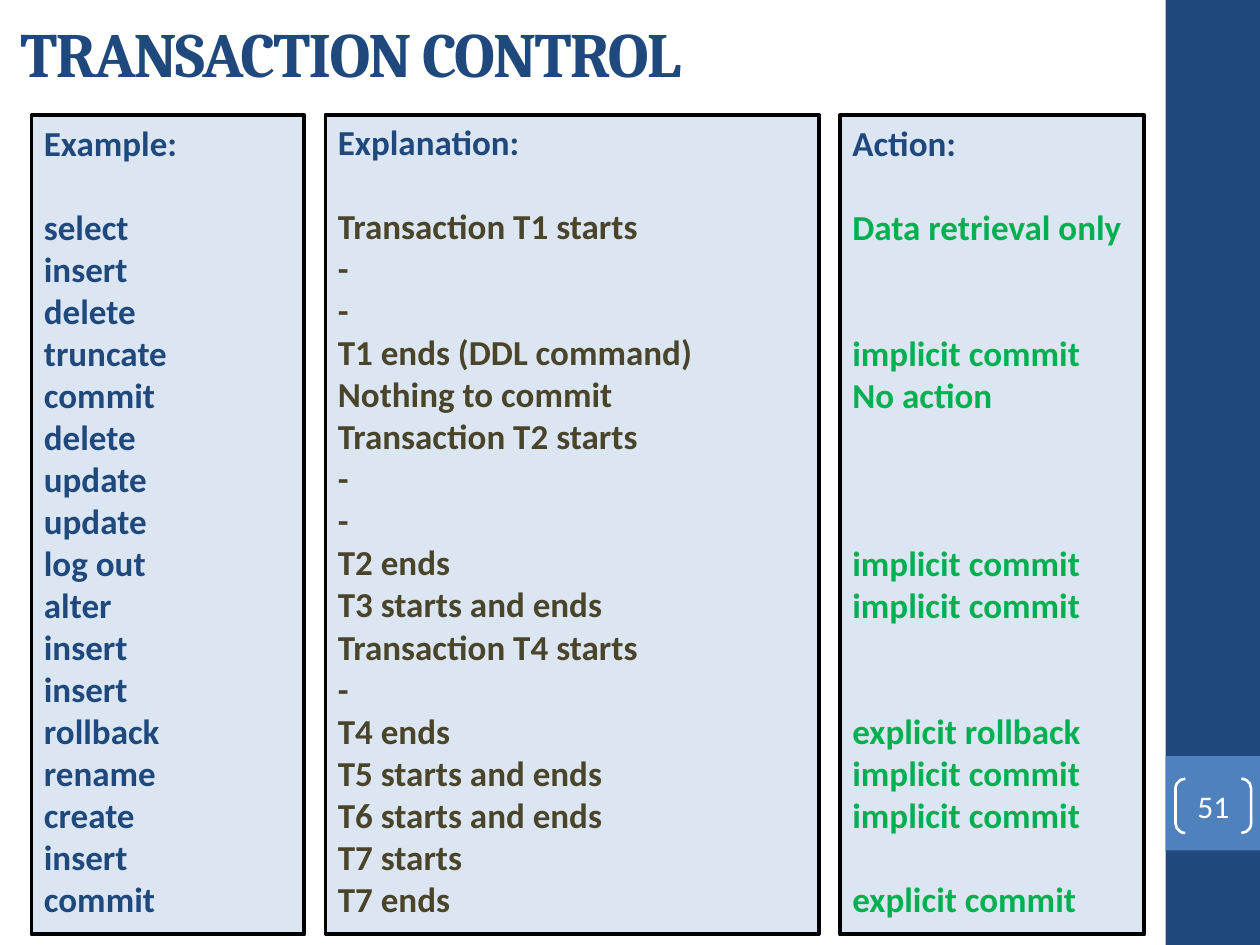
"""Build the transaction control slide."""
from pptx import Presentation
from pptx.dml.color import RGBColor
from pptx.enum.shapes import MSO_SHAPE as SHAPE
from pptx.enum.text import MSO_ANCHOR as ANCHOR, PP_ALIGN as ALIGN
from pptx.util import Pt

NAVY, BLUE, PALE, WHITE, BLACK = "1F497D", "4F81BD", "DCE6F2", "FFFFFF", "000000"
BROWN, GREEN = "4A452A", "00B050"
ROW = 24


def add_box(kind, box, fill=None, line=None, width=0):
    sp = s.shapes.add_shape(kind, *[Pt(v) for v in box])
    sp.shadow.inherit = False
    if fill:
        sp.fill.solid()
        sp.fill.fore_color.rgb = RGBColor.from_string(fill)
    else:
        sp.fill.background()
    if line:
        sp.line.color.rgb = RGBColor.from_string(line)
        sp.line.width = Pt(width)
    else:
        sp.line.fill.background()
    return sp


def add_run(p, text, size, color, bold=False, name="Calibri"):
    r = p.add_run()
    r.text = text
    r.font.name, r.font.size, r.font.bold = name, Pt(size), bold
    r.font.color.rgb = RGBColor.from_string(color)
    return r


prs = Presentation()
prs.slide_width, prs.slide_height = Pt(720), Pt(540)
s = prs.slides.add_slide(prs.slide_layouts[5])

add_box(SHAPE.RECTANGLE, (666, 0, 54, 540), NAVY)
add_box(SHAPE.RECTANGLE, (666, 432, 54, 54), BLUE)
sp = add_box(SHAPE.DOUBLE_BRACKET, (671.75, 445, 43.2, 31), None, WHITE, 1.5)
sp.adjustments[0] = 0.18
tf = sp.text_frame
tf.margin_left = tf.margin_right = tf.margin_top = tf.margin_bottom = 0
tf.vertical_anchor = ANCHOR.MIDDLE
p = tf.paragraphs[0]
p.alignment = ALIGN.CENTER
add_run(p, "51", 18, WHITE)

title = s.shapes.title
title.left, title.top, title.width, title.height = Pt(4.5), Pt(6), Pt(644.4), Pt(48)
tf = title.text_frame
tf.word_wrap = True
tf.vertical_anchor = ANCHOR.MIDDLE
p = tf.paragraphs[0]
p.alignment = ALIGN.LEFT
r = add_run(p, "TRANSACTION CONTROL", 36, NAVY, True, "Cambria")
r.font._element.set("spc", "-100")

steps = [
    ("select", "Transaction T1 starts", "Data retrieval only"),
    ("insert", "-", ""),
    ("delete", "-", ""),
    ("truncate", "T1 ends (DDL command)", "implicit commit"),
    ("commit", "Nothing to commit", "No action"),
    ("delete", "Transaction T2 starts", ""),
    ("update", "-", ""),
    ("update", "-", ""),
    ("log out", "T2 ends", "implicit commit"),
    ("alter", "T3 starts and ends", "implicit commit"),
    ("insert", "Transaction T4 starts", ""),
    ("insert", "-", ""),
    ("rollback", "T4 ends", "explicit rollback"),
    ("rename", "T5 starts and ends", "implicit commit"),
    ("create", "T6 starts and ends", "implicit commit"),
    ("insert", "T7 starts", ""),
    ("commit", "T7 ends", "explicit commit"),
]
columns = [
    ("Example:", NAVY, 18, 66, 156),
    ("Explanation:", BROWN, 186, 65.5, 282),
    ("Action:", GREEN, 480, 66, 174),
]
for (heading, color, left, top, width), entries in zip(columns, zip(*steps)):
    sp = add_box(SHAPE.RECTANGLE, (left, top, width, 468), PALE, BLACK, 2.25)
    tf = sp.text_frame
    tf.word_wrap = True
    tf.vertical_anchor = ANCHOR.TOP
    p = tf.paragraphs[0]
    p.alignment = ALIGN.LEFT
    add_run(p, heading, 20, NAVY, True)
    skipped = 1
    for entry in entries:
        if not entry:
            skipped += 1
            continue
        p = tf.add_paragraph()
        p.alignment = ALIGN.LEFT
        p.space_before = Pt(ROW * skipped)
        add_run(p, entry, 20, color, True)
        skipped = 0

prs.save("out.pptx")
